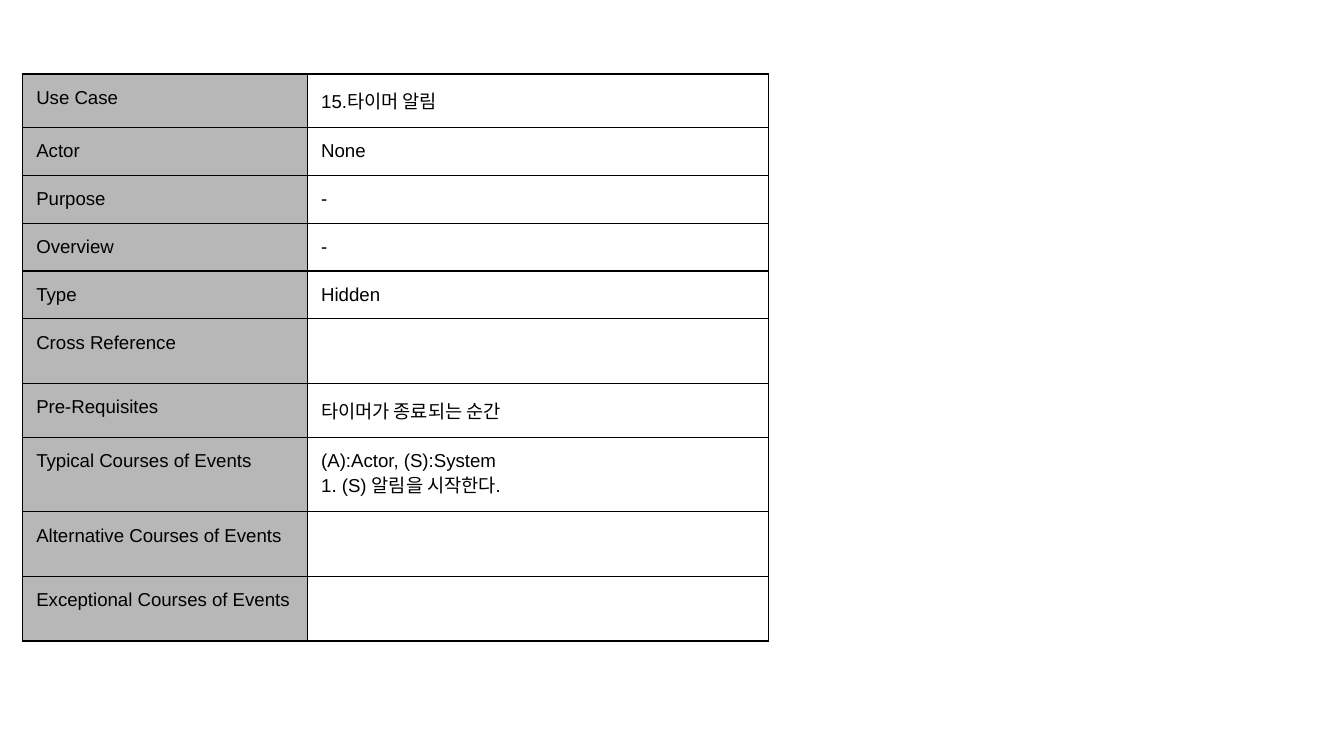
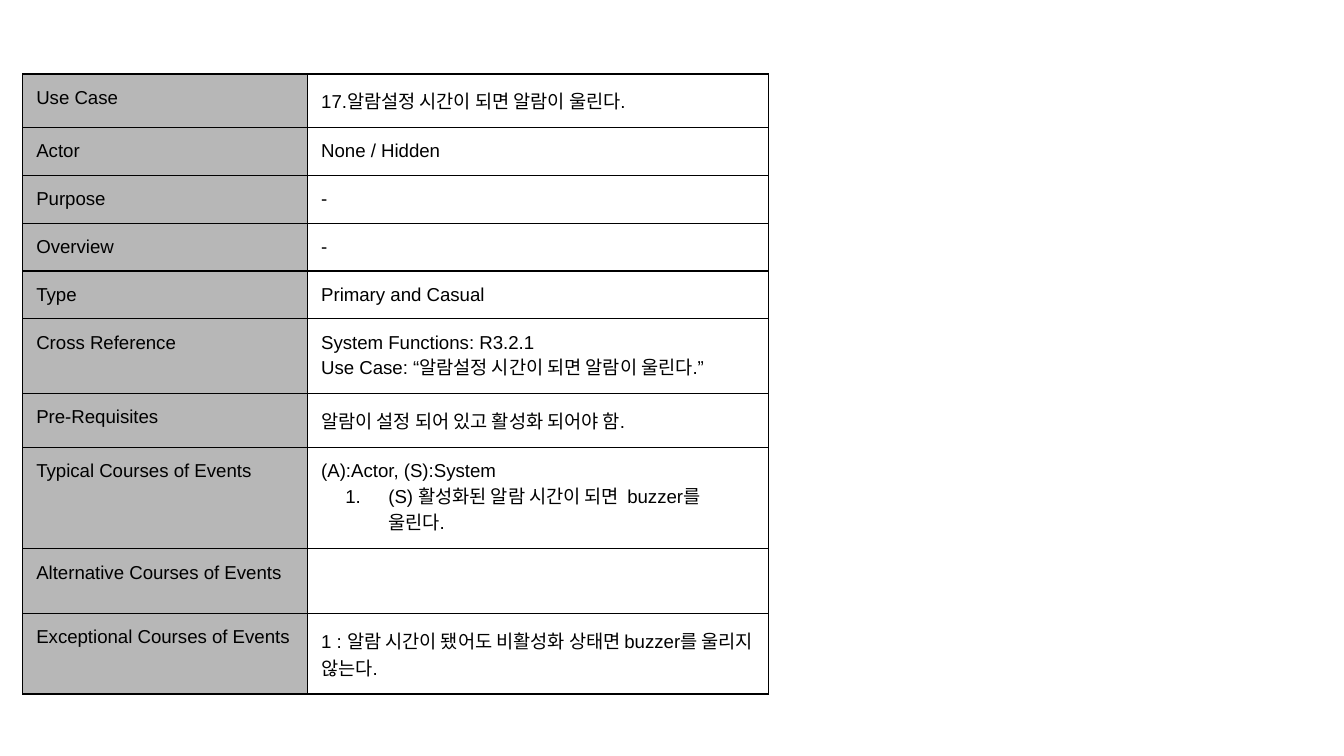
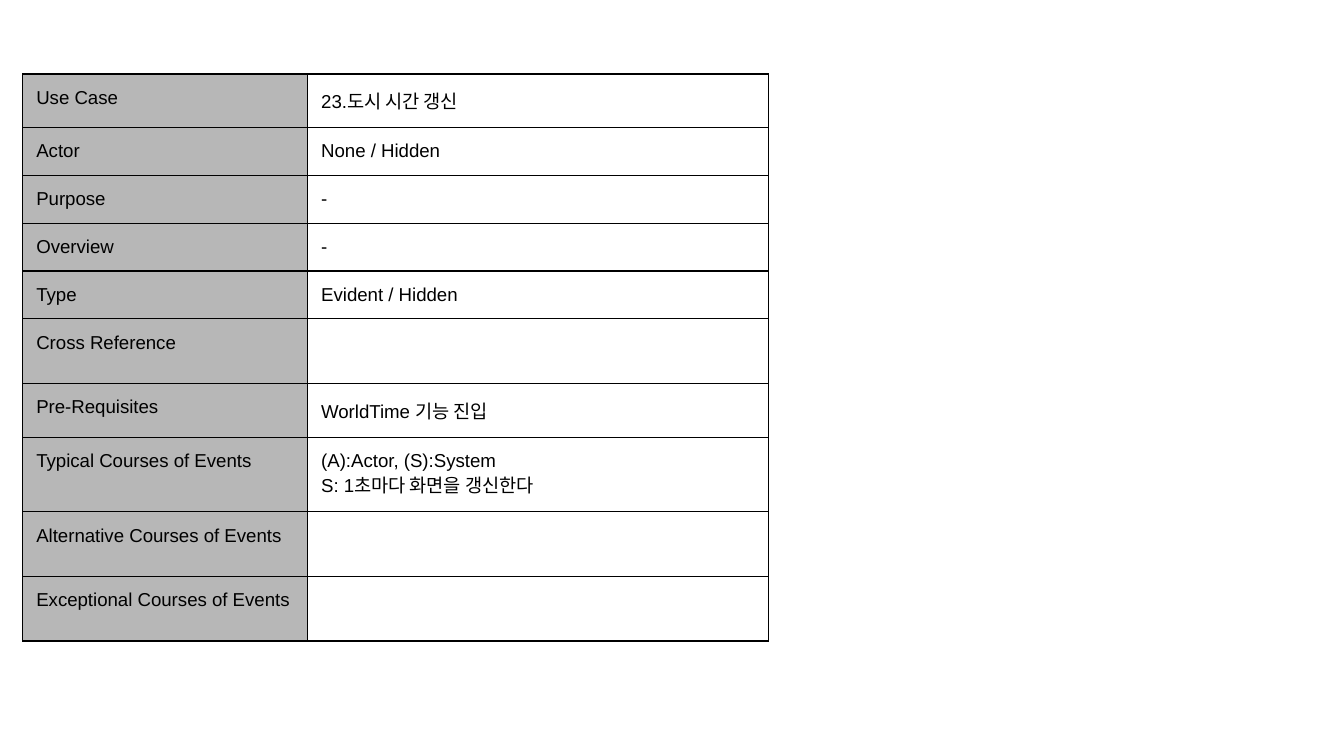
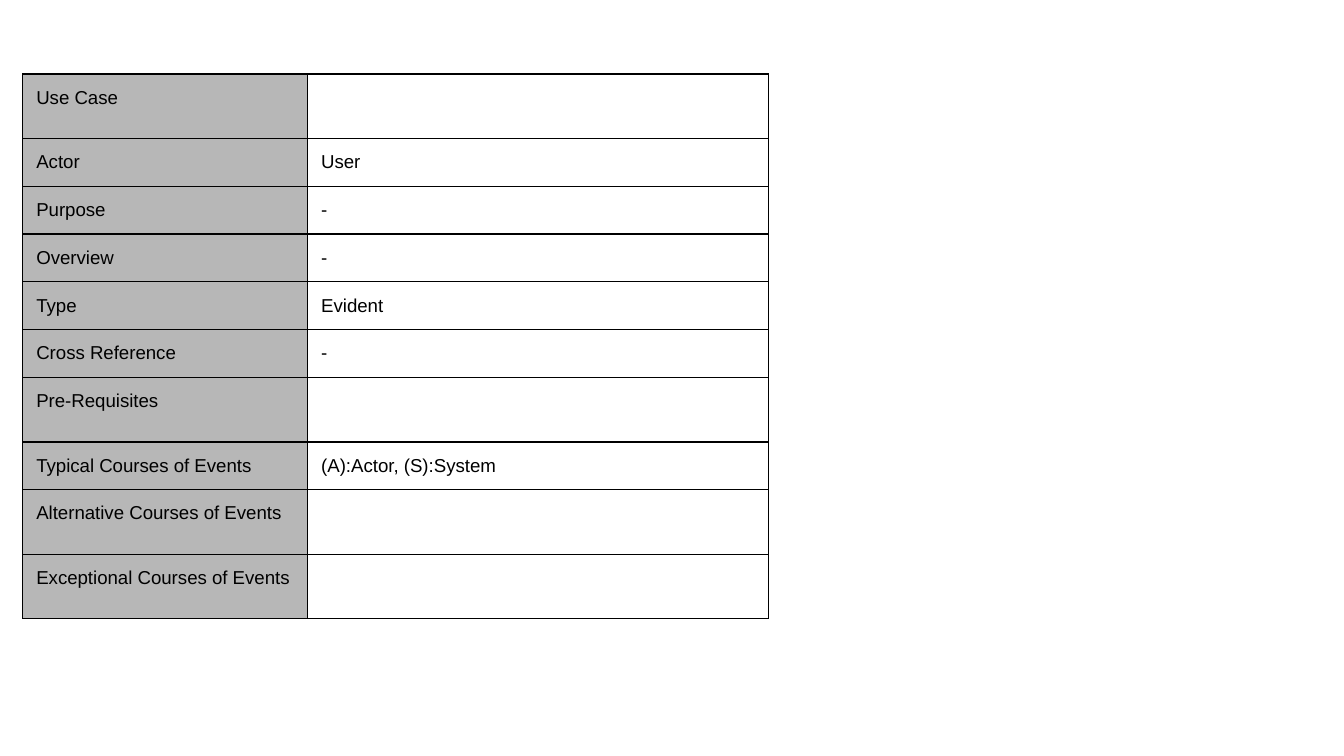
from pptx import Presentation
from pptx.dml.color import RGBColor
from pptx.oxml.ns import qn
from pptx.util import Inches, Pt
from lxml import etree

BLACK = RGBColor(0x00, 0x00, 0x00)
GRAY = RGBColor(0xB7, 0xB7, 0xB7)
FONT = "Arial"
TEXT_FORMAT = {"name": FONT, "size": Pt(10)}
EMPTY_SIZE = 18
BORDER_WIDTH = Pt(0.75)
BORDERS = ("lnL", "lnR", "lnT", "lnB")

# Content: one label per row, one list of values per slide
LABELS = [
    "Use Case", "Actor", "Purpose", "Overview", "Type", "Cross Reference",
    "Pre-Requisites", "Typical Courses of Events",
    "Alternative Courses of Events", "Exceptional Courses of Events",
]
ROLES = "(A):Actor, (S):System"

# A value is a string, or a list of paragraphs; a tuple is a numbered step
USE_CASES = [
    ["15.타이머 알림", "None", "-", "-", "Hidden", "",
     "타이머가 종료되는 순간", ROLES + "\v1. (S) 알림을 시작한다.", "", ""],
    ["17.알람설정 시간이 되면 알람이 울린다.", "None / Hidden", "-", "-",
     "Primary and Casual",
     ["System Functions: R3.2.1",
      "Use Case: “알람설정 시간이 되면 알람이 울린다.”"],
     "알람이 설정 되어 있고 활성화 되어야 함.",
     [ROLES, ("(S) 활성화된 알람 시간이 되면  buzzer를 울린다.",)], "",
     "1 : 알람 시간이 됐어도 비활성화 상태면 buzzer를 울리지 않는다."],
    ["23.도시 시간 갱신", "None / Hidden", "-", "-", "Evident / Hidden", "",
     "WorldTime 기능 진입", [ROLES, "S: 1초마다 화면을 갱신한다"], "", ""],
    ["", "User", "-", "-", "Evident", "-", "", ROLES, "", ""],
]

# Table frame and grid, in inches; rows grow with their text
LEFT, TOP, FRAME = 0.17, 0.55, 3.28
COLUMNS = [2.12, 3.43]
ROWS = [0.25] * 7 + [0.34, 0.25, 0.33]


def add_xml(parent, tag, **attrs):
    return etree.SubElement(parent, qn("a:" + tag), attrs)


def number_paragraph(p):
    pPr = p._p.get_or_add_pPr()
    pPr.set("marL", str(Inches(0.5)))
    pPr.set("indent", str(Inches(-0.32)))
    add_xml(add_xml(pPr, "buClr"), "srgbClr", val=str(BLACK))
    add_xml(pPr, "buFont", typeface=FONT)
    add_xml(pPr, "buAutoNum", type="arabicPeriod")


def write_paragraph(p, content):
    numbered = isinstance(content, tuple)
    p.text = content[0] if numbered else content
    if numbered:
        number_paragraph(p)
    for r in p.runs:
        for name, value in TEXT_FORMAT.items():
            setattr(r.font, name, value)
        r.font.color.rgb = BLACK
    for br in p._p.findall(qn("a:br")):
        add_xml(br, "rPr", sz="1000")
    if not p.runs:
        end = add_xml(p._p, "endParaRPr", sz=str(EMPTY_SIZE * 100))
        add_xml(end, "latin", typeface=FONT)


def format_cell(cell, is_label):
    for side in ("left", "right", "top", "bottom"):
        setattr(cell, "margin_" + side, Inches(0.1))
    tcPr = cell._tc.get_or_add_tcPr()
    for tag in BORDERS:
        ln = add_xml(tcPr, tag, w=str(BORDER_WIDTH))
        add_xml(add_xml(ln, "solidFill"), "srgbClr", val=str(BLACK))
    if is_label:
        cell.fill.solid()
        cell.fill.fore_color.rgb = GRAY
    else:
        cell.fill.background()


def fill_cell(cell, value, is_label):
    format_cell(cell, is_label)
    tf = cell.text_frame
    paragraphs = value if isinstance(value, list) else [value]
    for i, content in enumerate(paragraphs):
        p = tf.add_paragraph() if i else tf.paragraphs[0]
        write_paragraph(p, content)


def add_use_case(prs, values):
    s = prs.slides.add_slide(prs.slide_layouts[6])
    box = [Inches(v) for v in (LEFT, TOP, FRAME, FRAME)]
    frame = s.shapes.add_table(len(ROWS), len(COLUMNS), *box)
    table = frame.table
    table.first_row = table.horz_banding = False
    for column, width in zip(table.columns, COLUMNS):
        column.width = Inches(width)
    for i, (height, label, value) in enumerate(zip(ROWS, LABELS, values)):
        table.rows[i].height = Inches(height)
        fill_cell(table.cell(i, 0), label, True)
        fill_cell(table.cell(i, 1), value, False)
    frame.width = frame.height = Inches(FRAME)


def main():
    prs = Presentation()
    prs.slide_width = Inches(10)
    prs.slide_height = prs.slide_width * 9 // 16
    for values in USE_CASES:
        add_use_case(prs, values)
    prs.save("out.pptx")


if __name__ == "__main__":
    main()
